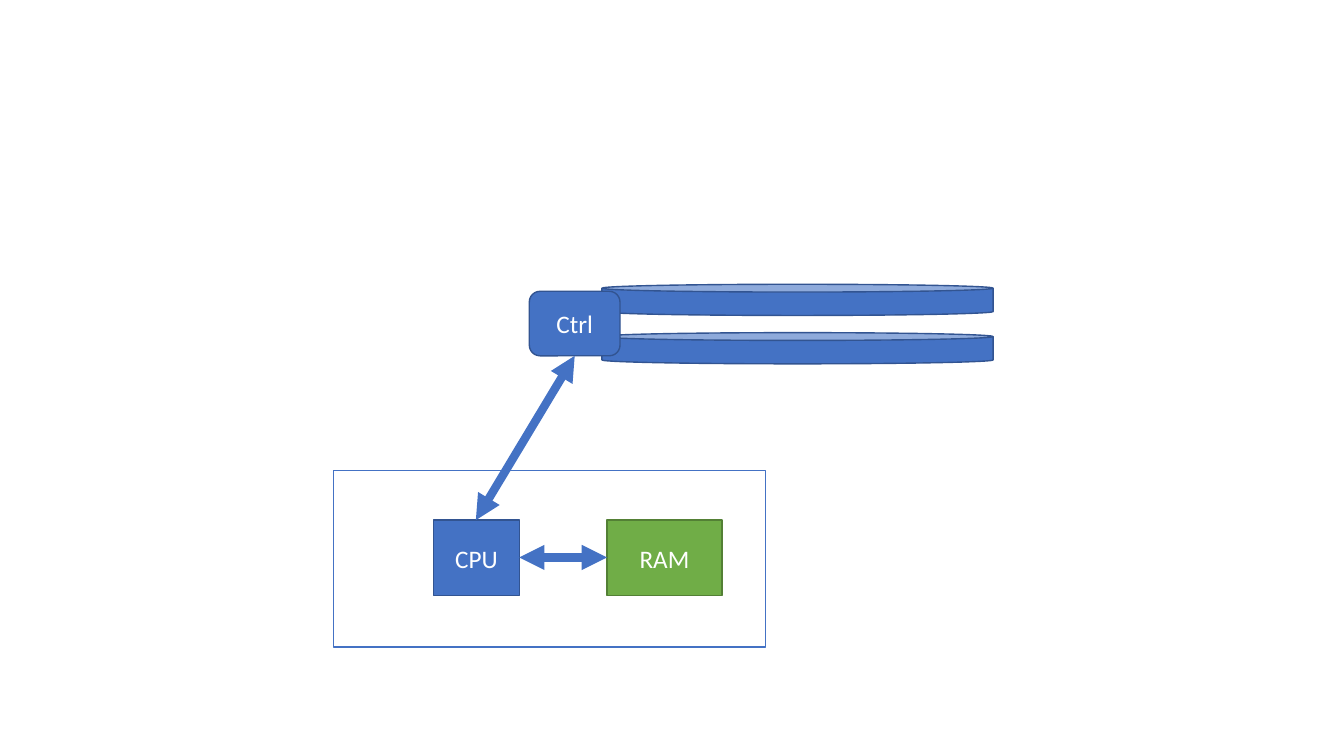
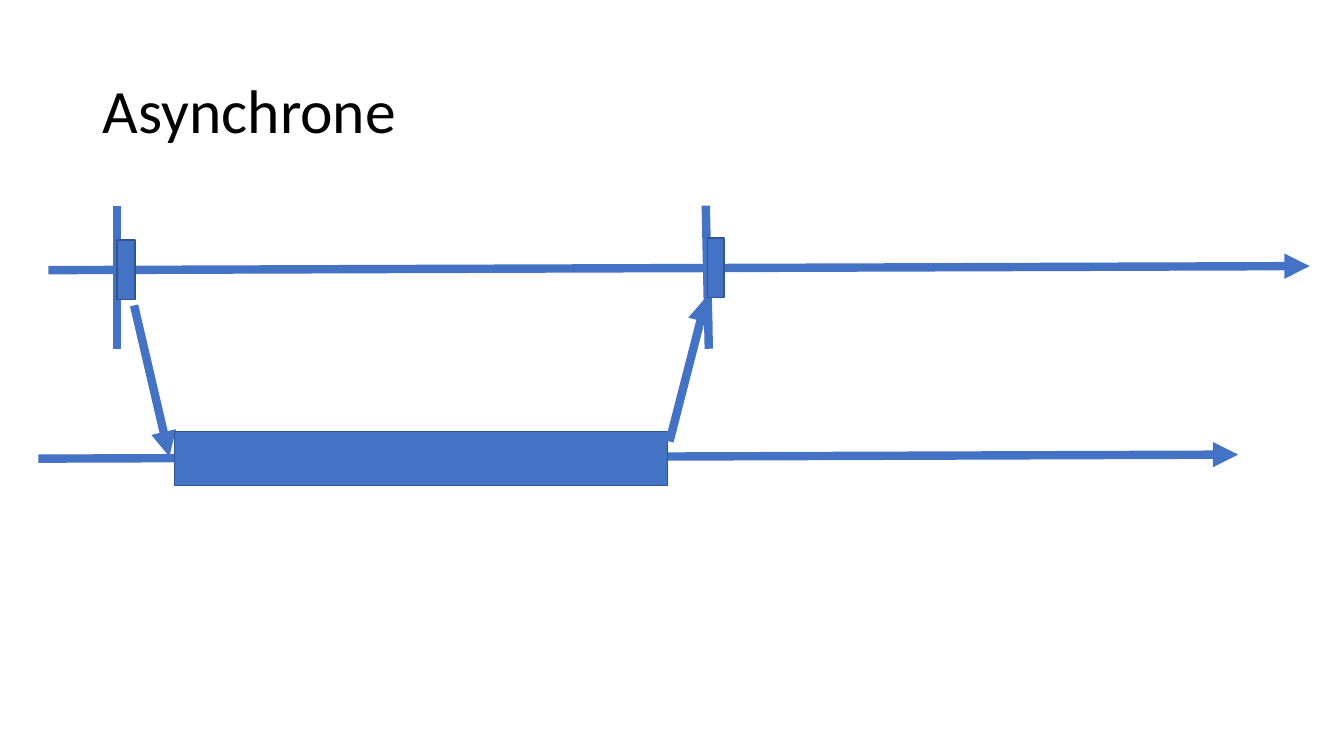
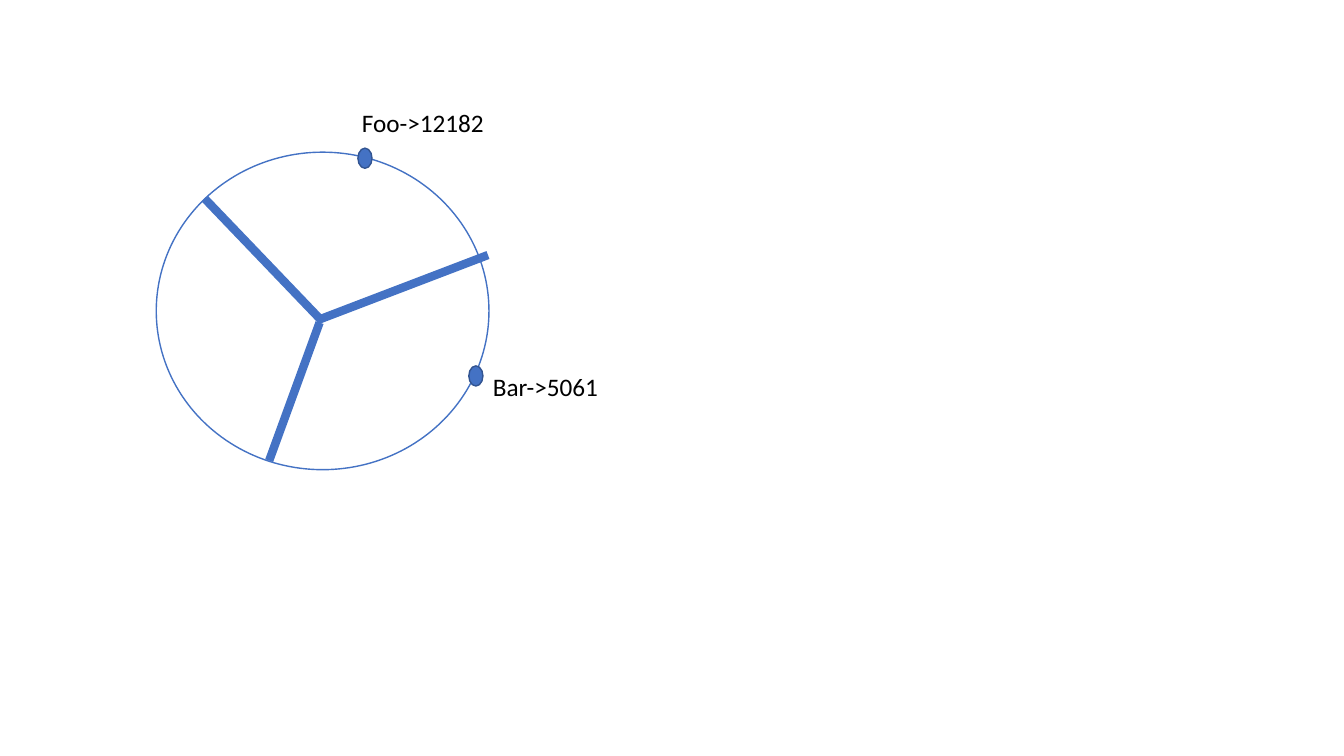
from pptx import Presentation
from pptx.dml.color import RGBColor
from pptx.enum.shapes import MSO_CONNECTOR, MSO_SHAPE
from pptx.enum.text import MSO_ANCHOR, MSO_AUTO_SIZE, PP_ALIGN
from pptx.oxml.ns import qn
from pptx.util import Inches, Pt
from lxml.etree import SubElement

BLUE = RGBColor(0x44, 0x72, 0xC4)
DARK_BLUE = RGBColor(0x32, 0x54, 0x91)
GREEN = RGBColor(0x70, 0xAD, 0x47)
DARK_GREEN = RGBColor(0x53, 0x80, 0x35)
WHITE = RGBColor(0xFF, 0xFF, 0xFF)
BLACK = RGBColor(0x00, 0x00, 0x00)
FONT = "Calibri"
TITLE_ONLY, BLANK = 5, 6


def write(tf, text, size, color, align):
    tf.text = text
    p = tf.paragraphs[0]
    p.alignment = align
    p.font.name = FONT
    p.font.size = Pt(size)
    p.font.color.rgb = color
    return p


def add_box(s, kind, x, y, w, h, text="", fill=BLUE, line=DARK_BLUE):
    sp = s.shapes.add_shape(kind, Inches(x), Inches(y), Inches(w), Inches(h))
    sp.shadow.inherit = False
    sp.fill.solid()
    sp.fill.fore_color.rgb = fill
    sp.line.color.rgb = line
    sp.line.width = Pt(1)
    if text:
        sp.text_frame.vertical_anchor = MSO_ANCHOR.MIDDLE
        write(sp.text_frame, text, 18, WHITE, PP_ALIGN.CENTER)


def add_line(s, start, end, arrows=()):
    x1, y1 = start
    x2, y2 = end
    cxn = s.shapes.add_connector(
        MSO_CONNECTOR.STRAIGHT, Inches(x1), Inches(y1), Inches(x2), Inches(y2))
    cxn.line.color.rgb = BLUE
    cxn.line.width = Pt(6)
    ln = cxn.line._get_or_add_ln()
    for arrow in arrows:
        SubElement(ln, qn(f"a:{arrow}"), type="triangle")
    SubElement(ln.getparent(), qn("a:effectLst"))


def add_label(s, text, x, y, w, h):
    tf = s.shapes.add_textbox(Inches(x), Inches(y), Inches(w), Inches(h)).text_frame
    tf.word_wrap = False
    tf.auto_size = MSO_AUTO_SIZE.SHAPE_TO_FIT_TEXT
    write(tf, text, 18, BLACK, PP_ALIGN.LEFT)


def set_title(s, text):
    title = s.shapes.title
    title.left, title.top = Inches(0.92), Inches(0.4)
    title.width, title.height = Inches(11.5), Inches(1.45)
    tf = title.text_frame
    tf.auto_size = MSO_AUTO_SIZE.NONE
    tf.vertical_anchor = MSO_ANCHOR.MIDDLE
    p = write(tf, text, 44, BLACK, PP_ALIGN.LEFT)
    p.line_spacing = 0.9


def add_slide(prs, layout):
    return prs.slides.add_slide(prs.slide_layouts[layout])


def build_hardware(prs):
    s = add_slide(prs, BLANK)
    both = ("headEnd", "tailEnd")
    add_box(s, MSO_SHAPE.RECTANGLE, 3.31, 4.67, 4.28, 1.75, fill=WHITE, line=BLUE)
    add_box(s, MSO_SHAPE.RECTANGLE, 4.3, 5.16, 0.85, 0.75, "CPU")
    add_box(s, MSO_SHAPE.RECTANGLE, 6.02, 5.16, 1.14, 0.75, "RAM", GREEN, DARK_GREEN)
    add_line(s, (5.15, 5.53), (6.02, 5.53), both)
    for disk_top in (2.82, 3.3):
        add_box(s, MSO_SHAPE.CAN, 5.97, disk_top, 3.88, 0.31)
    add_box(s, MSO_SHAPE.ROUNDED_RECTANGLE, 5.25, 2.89, 0.9, 0.64, "Ctrl")
    add_line(s, (4.72, 5.16), (5.7, 3.53), both)


def build_timeline(prs):
    s = add_slide(prs, TITLE_ONLY)
    set_title(s, "Asynchrone")
    forward = ("tailEnd",)
    add_line(s, (0.48, 2.68), (12.99, 2.64), forward)
    add_line(s, (1.16, 2.04), (1.16, 3.46))
    add_box(s, MSO_SHAPE.RECTANGLE, 1.16, 2.38, 0.18, 0.59)
    add_line(s, (1.33, 3.03), (1.68, 4.53), forward)
    add_line(s, (0.38, 4.55), (12.28, 4.51), forward)
    add_box(s, MSO_SHAPE.RECTANGLE, 1.73, 4.28, 4.89, 0.54)
    add_line(s, (6.64, 4.38), (7.01, 2.94), forward)
    add_line(s, (7, 2.04), (7.03, 3.46))
    add_box(s, MSO_SHAPE.RECTANGLE, 7.02, 2.36, 0.16, 0.59)


def build_hash_ring(prs):
    s = add_slide(prs, BLANK)
    add_box(s, MSO_SHAPE.OVAL, 1.55, 1.51, 3.3, 3.15, fill=WHITE, line=BLUE)
    add_line(s, (3.17, 3.16), (2.03, 1.97))
    add_line(s, (3.14, 3.18), (4.84, 2.53))
    add_line(s, (3.17, 3.2), (2.67, 4.57))
    for x, y in ((3.55, 1.47), (4.65, 3.63)):
        add_box(s, MSO_SHAPE.OVAL, x, y, 0.14, 0.2)
    add_label(s, "Foo->12182", 3.49, 1.02, 1.42, 0.4)
    add_label(s, "Bar->5061", 4.79, 3.63, 1.26, 0.4)


def main():
    prs = Presentation()
    prs.slide_width, prs.slide_height = Inches(13.33), Inches(7.5)
    build_hardware(prs)
    build_timeline(prs)
    build_hash_ring(prs)
    prs.save("out.pptx")


main()
